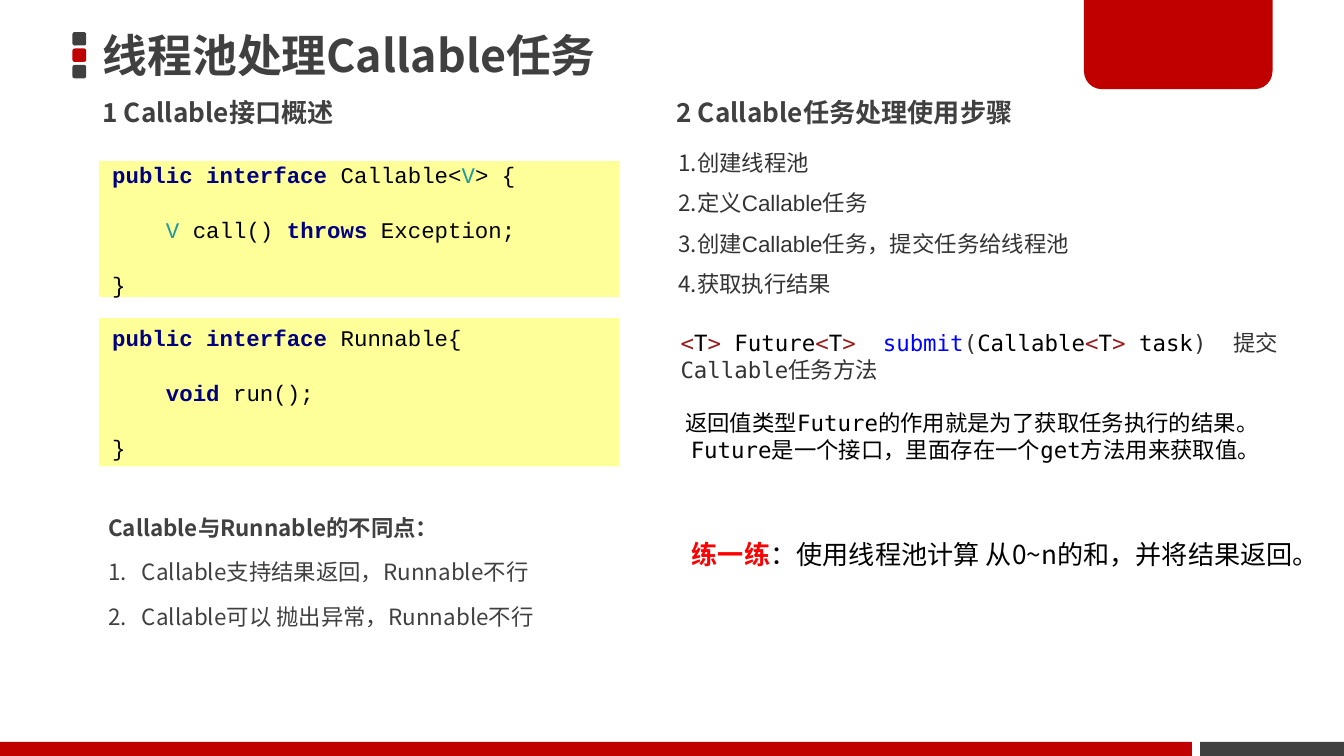
from pptx import Presentation
from pptx.util import Pt
from pptx.dml.color import RGBColor
from pptx.enum.shapes import MSO_SHAPE
from pptx.enum.text import MSO_ANCHOR
from lxml import etree

RECT = MSO_SHAPE.RECTANGLE
ROUND = MSO_SHAPE.ROUNDED_RECTANGLE
ROUND_BOTTOM = MSO_SHAPE.ROUND_2_SAME_RECTANGLE
TOP, MIDDLE = MSO_ANCHOR.TOP, MSO_ANCHOR.MIDDLE

DARK = RGBColor(0x40, 0x40, 0x40)
RED = RGBColor(0xC0, 0x00, 0x00)
BRIGHT = RGBColor(0xFF, 0x00, 0x00)
YELLOW = RGBColor(0xFF, 0xFF, 0x99)
NAVY = RGBColor(0x00, 0x00, 0x80)
TEAL = RGBColor(0x20, 0x99, 0x9D)
BLACK = RGBColor(0x00, 0x00, 0x00)
GREY = RGBColor(0x33, 0x33, 0x33)
BROWN = RGBColor(0x98, 0x1A, 0x1A)
BLUE = RGBColor(0x00, 0x00, 0xFF)

CJK, SANS = "Noto Sans CJK JP", "Arial"
CODE, MONO = "Courier New", "DejaVu Sans Mono"
A = "{http://schemas.openxmlformats.org/drawingml/2006/main}"

prs = Presentation()
prs.slide_width, prs.slide_height = Pt(720), Pt(405)
s = prs.slides.add_slide(prs.slide_layouts[6])


def add_block(kind, x, y, w, h, fill):
    sp = s.shapes.add_shape(kind, Pt(x), Pt(y), Pt(w), Pt(h))
    sp.shadow.inherit = False
    sp.fill.solid()
    sp.fill.fore_color.rgb = fill
    sp.line.fill.background()
    return sp


def write(sp, paras, size=12, font=CJK, color=DARK, bold=False, anchor=MIDDLE,
          inset=(5, 3, 5, 3), spacing=None, before=0, margins=(), numbers=(), hang=0):
    """Each paragraph is a string or a list of (text, colour, bold) runs."""
    tf = sp.text_frame
    tf.word_wrap, tf.vertical_anchor = True, anchor
    tf.margin_left, tf.margin_top, tf.margin_right, tf.margin_bottom = map(Pt, inset)
    for i, runs in enumerate(paras):
        p = tf.add_paragraph() if i else tf.paragraphs[0]
        p.alignment = 1
        p.space_before = Pt(before if i else 0)
        if spacing:
            p.line_spacing = spacing
        pPr = p._p.get_or_add_pPr()
        if margins:
            pPr.set("marL", str(Pt(margins[i])))
        if numbers and numbers[i]:
            pPr.set("marL", str(Pt(hang)))
            pPr.set("indent", str(-Pt(hang)))
            etree.SubElement(pPr, A + "buFont", typeface="+mj-lt")
            etree.SubElement(pPr, A + "buAutoNum", type="arabicPeriod", startAt=str(numbers[i]))
        for text, c, b in [(runs, color, bold)] if isinstance(runs, str) else runs:
            r = p.add_run()
            r.text = text
            r.font.size, r.font.name, r.font.bold = Pt(size), font, b
            r.font.color.rgb = c
            etree.SubElement(r._r.get_or_add_rPr(), A + "ea", typeface=CJK)


def add_text(x, y, w, h, paras, **fmt):
    write(s.shapes.add_textbox(Pt(x), Pt(y), Pt(w), Pt(h)), paras, **fmt)


# Title marks, corner tab and bottom bars
for i, fill in enumerate((DARK, RED, DARK)):
    add_block(ROUND, 38.8, 17.2 + 8.8 * i, 7.4, 7.2, fill)
add_block(RECT, 643, 397.5, 77, 7.5, DARK)
tab = add_block(ROUND_BOTTOM, 580.7, 0, 101, 47.8, RED)
tab.adjustments[0], tab.adjustments[1] = 0, 0.2
add_block(RECT, 0, 397.5, 638.6, 7.5, RED)

# Title and section headings
add_text(50, 14, 518, 30, ["线程池处理Callable任务"], size=24, bold=True)
for x, heading in ((50, "1 Callable接口概述"), (357.5, "2 Callable任务处理使用步骤")):
    add_text(x, 45, 294, 30, [heading], size=14, bold=True)

# Code panels
callable_code = [
    [("public interface ", NAVY, True), ("Callable<", BLACK, False),
     ("V", TEAL, False), ("> {", BLACK, False)],
    [("V ", TEAL, False), ("call() ", BLACK, False),
     ("throws ", NAVY, True), ("Exception;", BLACK, False)],
    "}",
]
runnable_code = [
    [("public interface ", NAVY, True), ("Runnable{", BLACK, False)],
    [("void ", NAVY, True), ("run();", BLACK, False)],
    "}",
]
for y, h, code in ((86.4, 72.8, callable_code), (170.4, 79.5, runnable_code)):
    write(add_block(RECT, 53, y, 279, h, YELLOW), code, font=CODE, color=BLACK,
          inset=(7.2, 0, 7.2, 0), before=15.1, margins=(0, 28.8, 0))

# Differences
add_text(53, 265, 279, 87,
         [[("Callable与Runnable的不同点：", DARK, True)],
          "Callable支持结果返回，Runnable不行",
          "Callable可以 抛出异常，Runnable不行"],
         anchor=TOP, spacing=1.5, before=2.4, numbers=(0, 1, 2), hang=18)

# Steps
add_text(363.5, 67.7, 294, 96.5,
         ["创建线程池", "定义Callable任务", "创建Callable任务，提交任务给线程池", "获取执行结果"],
         font=SANS, color=GREY, inset=(0, 6, 0, 6), spacing=1.5, numbers=(1, 2, 3, 4))

# Submit method: signature and return value
generic = [("<", BROWN, False), ("T", BLACK, False), ("> ", BROWN, False)]
signature = [*generic, ("Future", BLACK, False), *generic, ("\u00a0", BROWN, False),
             ("submit", BLUE, False), ("(", GREY, False), ("Callable", BLACK, False),
             *generic, ("task", BLACK, False), (")  提交Callable任务方法", GREY, False)]
add_text(357.5, 172.8, 360, 36, [signature], font=MONO, anchor=TOP, inset=(7.2, 3.6, 7.2, 3.6))
add_text(357.5, 215.5, 360, 36,
         ["返回值类型Future的作用就是为了获取任务执行的结果。",
          "Future是一个接口，里面存在一个get方法用来获取值。"],
         font=MONO, color=BLACK, anchor=TOP, inset=(7.2, 3.6, 0, 3.6), margins=(2.5, 5.5))

# Exercise
add_text(363.5, 284.4, 356, 24.5,
         [[("练一练", BRIGHT, True), ("：使用线程池计算 从0~n的和，并将结果返回。", BLACK, False)]],
         size=14, inset=(7.2, 3.6, 0, 3.6))

prs.save("out.pptx")
